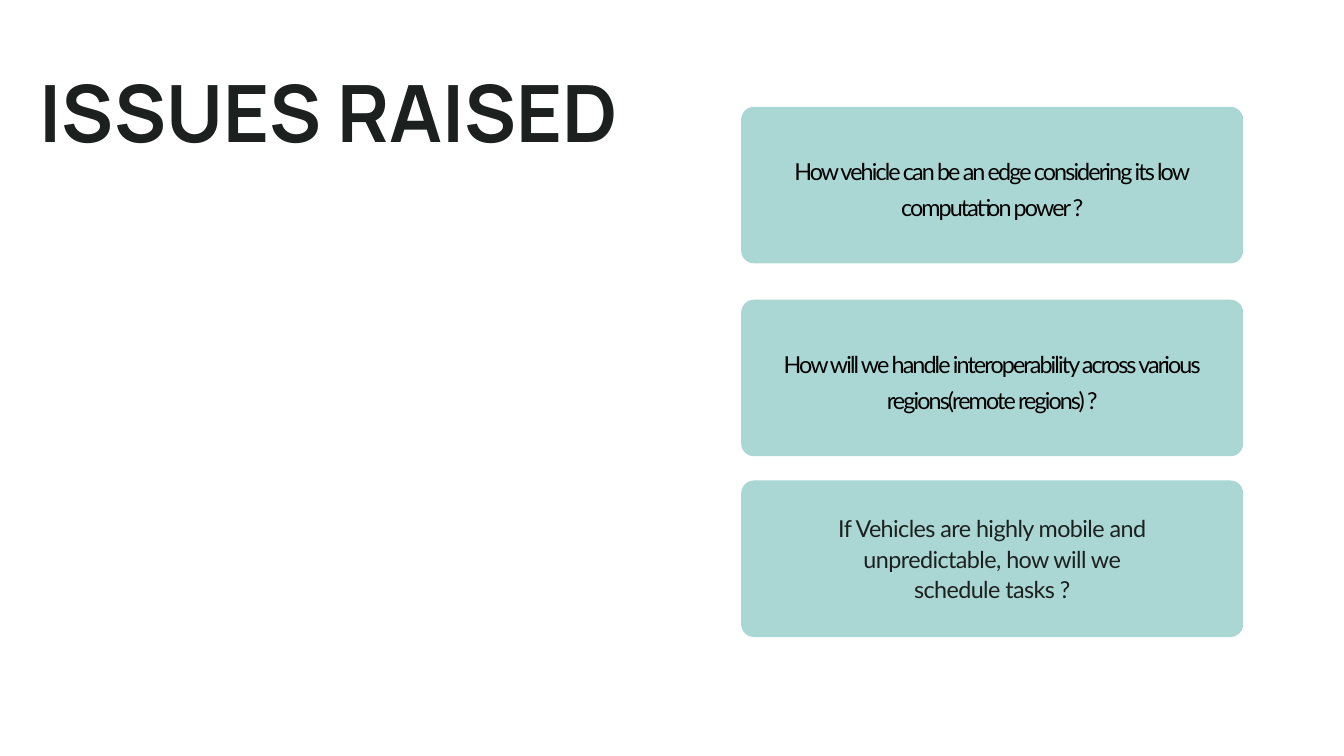
from dataclasses import dataclass

from pptx import Presentation
from pptx.dml.color import RGBColor
from pptx.enum import shapes, text
from pptx.util import Inches, Pt


@dataclass(frozen=True)
class TextStyle:
    font: str
    size: float
    color: str
    line: float
    gap: float = 0
    tracking: float = 0
    bold: bool = False
    align: text.PP_ALIGN = text.PP_ALIGN.CENTER


@dataclass(frozen=True)
class Theme:
    card: str = "AAD7D4"
    title: TextStyle = TextStyle("Manrope", 84.7, "1C2120", 96.6, bold=True,
                                 align=text.PP_ALIGN.LEFT)
    tight: TextStyle = TextStyle("Lato", 25, "000000", 19.2, gap=19.2, tracking=-2)
    loose: TextStyle = TextStyle("Lato", 25, "1C2120", 32.5, tracking=-0.6)


THEME = Theme()
CARD_LEFT, CARD_WIDTH, CARD_HEIGHT = 11.03, 7.47, 2.33
CORNER_RADIUS = 0.19


def add_text(page, area, lines, style, anchor=text.MSO_ANCHOR.TOP, inset=0):
    """Write one paragraph per line inside area (left, top, width, height)."""
    box = page.shapes.add_textbox(*map(Inches, area))
    frame = box.text_frame
    frame.word_wrap = True
    frame.vertical_anchor = anchor
    frame.margin_left = frame.margin_right = Inches(inset)
    frame.margin_top = frame.margin_bottom = Inches(inset)
    for index, line in enumerate(lines):
        para = frame.add_paragraph() if index else frame.paragraphs[0]
        para.alignment = style.align
        para.line_spacing = Pt(style.line)
        if index and style.gap:
            para.space_before = Pt(style.gap)
        span = para.add_run()
        span.text = line
        span.font.name = style.font
        span.font.size = Pt(style.size)
        span.font.bold = style.bold
        span.font.color.rgb = RGBColor.from_string(style.color)
        if style.tracking:
            span._r.get_or_add_rPr().set("spc", str(round(style.tracking * 100)))


def add_card(page, area):
    card = page.shapes.add_shape(shapes.MSO_SHAPE.ROUNDED_RECTANGLE, *map(Inches, area))
    card.adjustments[0] = CORNER_RADIUS / area[3]
    card.shadow.inherit = False
    card.fill.solid()
    card.fill.fore_color.rgb = RGBColor.from_string(THEME.card)
    card.line.fill.background()


def add_tight_issue(page, area, lines):
    """Card whose text sits in the part below a strip at the top."""
    left, top, width, height = area
    strip = 0.28
    add_card(page, area)
    add_text(page, (left, top + strip, width, height - strip), lines, THEME.tight,
             anchor=text.MSO_ANCHOR.MIDDLE, inset=0.06)


def add_loose_issue(page, area, lines):
    """Card whose text is held in by side and top margins."""
    left, top, width, height = area
    side, above = 0.38, 0.47
    add_card(page, area)
    add_text(page, (left + side, top + above, width - 2 * side, height - 2 * above - 0.04),
             lines, THEME.loose)


def main():
    deck = Presentation()
    deck.slide_width, deck.slide_height = Inches(20), Inches(11.25)
    page = deck.slides.add_slide(deck.slide_layouts[6])

    add_text(page, (0.59, 1.02, 8.67, 1.45), ["ISSUES RAISED"], THEME.title)
    issues = [
        (add_tight_issue, 1.59, ["How vehicle can be an edge considering its low",
                                 "computation power ?"]),
        (add_tight_issue, 4.46, ["How will we handle interoperability across various",
                                 "regions(remote regions) ?"]),
        (add_loose_issue, 7.15, ["If Vehicles are highly mobile and",
                                 "unpredictable, how will we",
                                 "schedule tasks ?"]),
    ]
    for add_issue, top, lines in issues:
        add_issue(page, (CARD_LEFT, top, CARD_WIDTH, CARD_HEIGHT), lines)

    deck.save("out.pptx")


if __name__ == "__main__":
    main()
